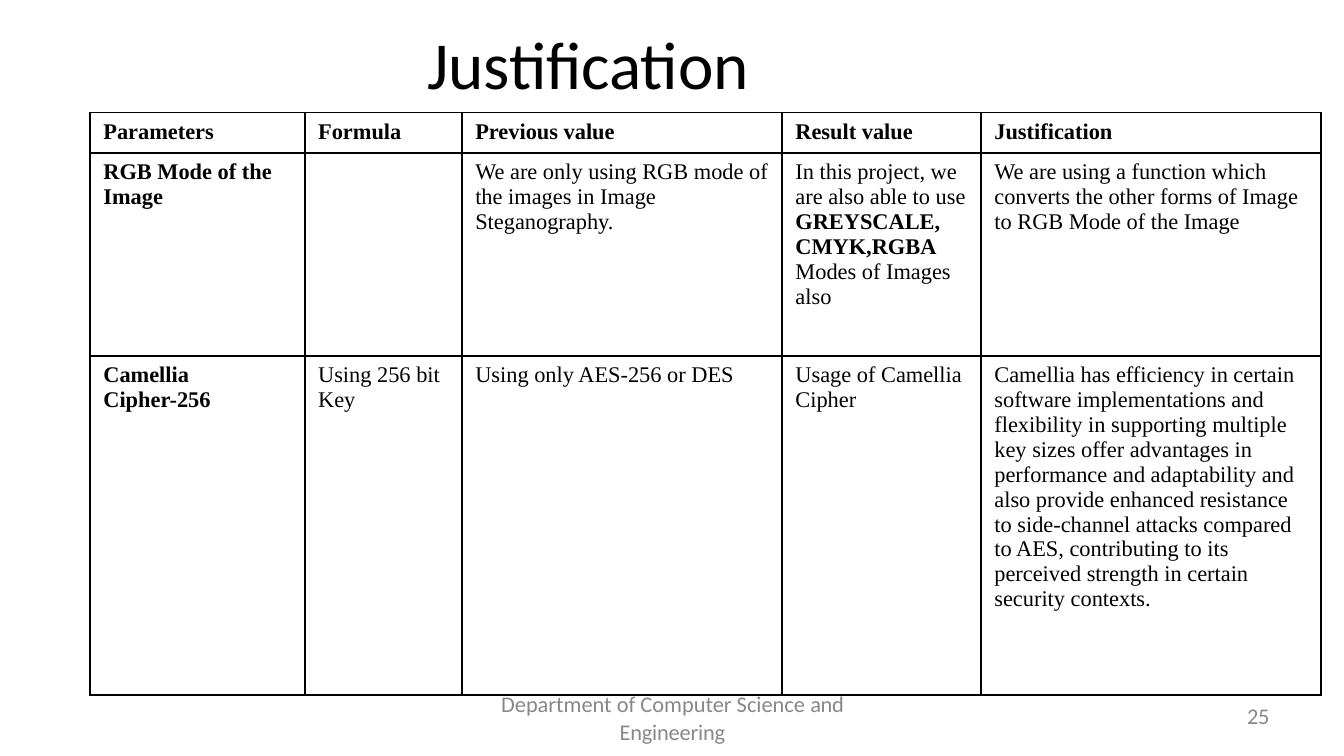
from pptx import Presentation
from pptx.dml.color import RGBColor
from pptx.enum.text import PP_ALIGN
from pptx.oxml import parse_xml
from pptx.oxml.ns import nsdecls
from pptx.util import Cm, Pt

COLORS = {"ink": "000000", "muted": "888888"}
TITLE = {"name": "Calibri", "size": Pt(36), "bold": False}
FOOTER = {"name": "Calibri", "size": Pt(12), "bold": False}
BODY = {"name": "Times New Roman", "size": Pt(12), "bold": False}
STRONG = {**BODY, "bold": True}

COLUMN_WIDTHS = (4.06, 2.97, 6.05, 3.76, 6.43)
ROW_HEIGHTS = (0.76, 3.84, 6.4)
HEADINGS = ("Parameters", "Formula", "Previous value", "Result value", "Justification")
ROWS = (
    [[(heading, STRONG)] for heading in HEADINGS],
    [
        [("RGB Mode of the Image", STRONG)],
        [],
        [("We are only using RGB mode of the images in Image Steganography.", BODY)],
        [
            ("In this project, we are also able to use ", BODY),
            ("GREYSCALE, CMYK,RGBA", STRONG),
            (" Modes of Images also", BODY),
        ],
        [("We are using a function which converts the other forms of Image "
          "to RGB Mode of the Image", BODY)],
    ],
    [
        [("Camellia Cipher-256", STRONG)],
        [("Using 256 bit Key", BODY)],
        [("Using only AES-256 or DES", BODY)],
        [("Usage of Camellia Cipher", BODY)],
        [("Camellia has efficiency in certain software implementations and "
          "flexibility in supporting multiple key sizes offer advantages in "
          "performance and adaptability and also provide enhanced resistance to "
          "side-channel attacks compared to AES, contributing to its perceived "
          "strength in certain security contexts.", BODY)],
    ],
)


def add_span(para, text, style, color, spacing=0):
    """Add one formatted run, with letter spacing in hundredths of a point."""
    span = para.add_run()
    span.text = text
    for name, value in style.items():
        setattr(span.font, name, value)
    span.font.color.rgb = RGBColor.from_string(COLORS[color])
    if spacing:
        span._r.get_or_add_rPr().set("spc", str(spacing))


def add_text_frame(page, bounds, left_margin=0, top_margin=0):
    """Add a wrapping text box and return its frame."""
    frame = page.shapes.add_textbox(*map(Cm, bounds)).text_frame
    margins = {"left": left_margin, "top": top_margin, "right": 0, "bottom": 0}
    for side, value in margins.items():
        setattr(frame, f"margin_{side}", Cm(value))
    frame.word_wrap = True
    return frame


def add_title(page, bounds):
    """Place the slide title."""
    frame = add_text_frame(page, bounds, left_margin=0.03, top_margin=0.05)
    add_span(frame.paragraphs[0], "Justification", TITLE, "ink", -10)


def add_footer(page, bounds):
    """Place the two-line department name."""
    frame = add_text_frame(page, bounds)
    first, second = frame.paragraphs[0], frame.add_paragraph()
    first.alignment = second.alignment = PP_ALIGN.CENTER
    first.line_spacing = Pt(12.4)
    second.space_before = Pt(0.6)
    add_span(first, "Department of Computer Science", FOOTER, "muted")
    add_span(first, " and", FOOTER, "muted", -20)
    add_span(second, "Engineering", FOOTER, "muted", -10)


def add_page_number(page, bounds):
    """Place the page number."""
    para = add_text_frame(page, bounds, left_margin=0.1).paragraphs[0]
    para.line_spacing = Pt(12.4)
    add_span(para, "25", FOOTER, "muted", -20)


def add_borders(cell):
    """Draw a thin line on all four sides of a cell."""
    properties = cell._tc.get_or_add_tcPr()
    for side in "LRTB":
        properties.append(parse_xml(
            f'<a:ln{side} {nsdecls("a")} w="{Pt(1)}"><a:solidFill>'
            f'<a:srgbClr val="{COLORS["ink"]}"/></a:solidFill></a:ln{side}>'
        ))


def add_comparison_table(page, left, top):
    """Place the table of parameters, values and justifications."""
    table = page.shapes.add_table(
        len(ROWS), len(HEADINGS), Cm(left), Cm(top),
        Cm(sum(COLUMN_WIDTHS)), Cm(sum(ROW_HEIGHTS)),
    ).table
    table.first_row = table.horz_banding = False
    for column, width in zip(table.columns, COLUMN_WIDTHS):
        column.width = Cm(width)
    for row, height, contents in zip(table.rows, ROW_HEIGHTS, ROWS):
        row.height = Cm(height)
        for cell, spans in zip(row.cells, contents):
            add_borders(cell)
            cell.fill.background()
            for text, style in spans:
                add_span(cell.text_frame.paragraphs[0], text, style, "ink")


def main():
    """Build and save the deck."""
    deck = Presentation()
    deck.slide_width, deck.slide_height = Cm(25.4), Cm(14.29)
    page = deck.slides.add_slide(deck.slide_layouts[6])
    add_title(page, (8.05, 0.38, 11.51, 1.57))
    add_footer(page, (9.42, 13.11, 6.58, 1.02))
    add_page_number(page, (23.47, 13.34, 0.69, 0.56))
    add_comparison_table(page, 1.7, 2.13)
    deck.save("out.pptx")


if __name__ == "__main__":
    main()
